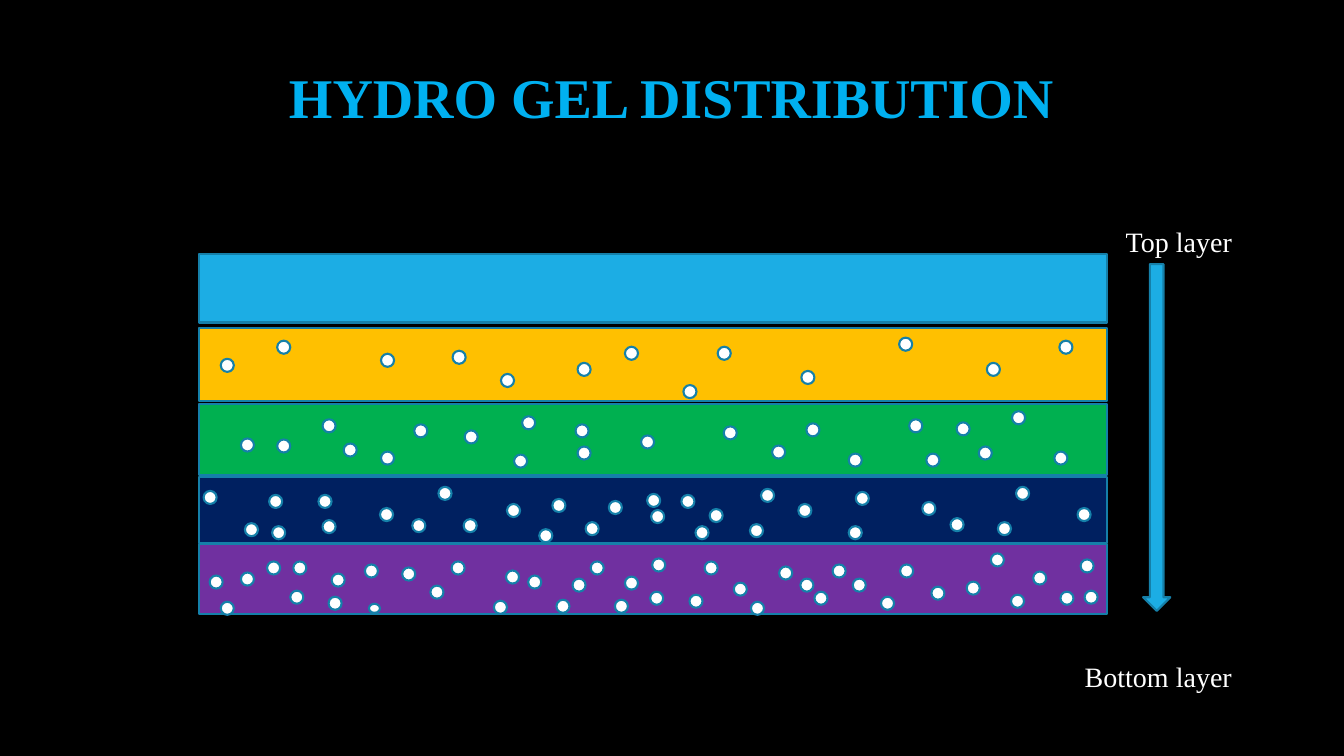
from pptx import Presentation
from pptx.dml.color import RGBColor
from pptx.enum.shapes import MSO_SHAPE
from pptx.enum.text import MSO_ANCHOR, PP_ALIGN
from pptx.util import Cm, Pt

RECTANGLE = MSO_SHAPE.RECTANGLE
DOWN_ARROW = MSO_SHAPE.DOWN_ARROW
CIRCLE = MSO_SHAPE.FLOWCHART_CONNECTOR
CENTER, RIGHT = PP_ALIGN.CENTER, PP_ALIGN.RIGHT
TOP, MIDDLE = MSO_ANCHOR.TOP, MSO_ANCHOR.MIDDLE

BLACK = RGBColor(0x00, 0x00, 0x00)
WHITE = RGBColor(0xFF, 0xFF, 0xFF)
TITLE_BLUE = RGBColor(0x00, 0xB0, 0xF0)
SKY = RGBColor(0x1C, 0xAD, 0xE4)
AMBER = RGBColor(0xFF, 0xC0, 0x00)
GREEN = RGBColor(0x00, 0xB0, 0x50)
NAVY = RGBColor(0x00, 0x20, 0x60)
PURPLE = RGBColor(0x70, 0x30, 0xA0)
OUTLINE = RGBColor(0x15, 0x80, 0xA9)

FONT = "Times New Roman"
CM_PER_UNIT = 2.54  # the layout grid is in inches
BEAD_SIZE = 0.13

# Beads as (x, y) from the top left corner of their layer
AMBER_BEADS = [
    (0.22, 0.31), (0.78, 0.13), (1.81, 0.26), (2.52, 0.23), (3.00, 0.46),
    (3.76, 0.35), (4.23, 0.19), (4.81, 0.57), (5.15, 0.19), (5.98, 0.43),
    (6.95, 0.10), (7.82, 0.35), (8.54, 0.13),
]
GREEN_BEADS = [
    (0.42, 0.34), (0.78, 0.35), (1.23, 0.15), (1.44, 0.39), (1.81, 0.47),
    (2.14, 0.20), (2.64, 0.26), (3.13, 0.50), (3.21, 0.12), (3.74, 0.20),
    (3.76, 0.42), (4.39, 0.31), (5.21, 0.22), (5.69, 0.41), (6.03, 0.19),
    (6.45, 0.49), (7.05, 0.15), (7.22, 0.49), (7.52, 0.18), (7.74, 0.42),
    (8.07, 0.07), (8.49, 0.47),
]
NAVY_BEADS = [
    (0.05, 0.14), (0.46, 0.46), (0.70, 0.18), (0.73, 0.49), (1.19, 0.18),
    (1.23, 0.43), (1.80, 0.31), (2.12, 0.42), (2.38, 0.10), (2.63, 0.42),
    (3.06, 0.27), (3.38, 0.52), (3.51, 0.22), (3.84, 0.45), (4.07, 0.24),
    (4.45, 0.17), (4.49, 0.33), (4.79, 0.18), (4.93, 0.49), (5.07, 0.32),
    (5.47, 0.47), (5.58, 0.12), (5.95, 0.27), (6.45, 0.49), (6.52, 0.15),
    (7.18, 0.25), (7.46, 0.41), (7.93, 0.45), (8.11, 0.10), (8.72, 0.31),
]
PURPLE_BEADS = [
    (0.11, 0.31), (0.22, 0.57), (0.42, 0.28), (0.68, 0.17), (0.91, 0.46),
    (0.94, 0.17), (1.29, 0.52), (1.32, 0.29), (1.65, 0.20), (2.02, 0.23),
    (2.30, 0.41), (2.51, 0.17), (2.93, 0.56), (3.05, 0.26), (3.27, 0.31),
    (3.55, 0.55), (3.71, 0.34), (3.89, 0.17), (4.13, 0.55), (4.23, 0.32),
    (4.48, 0.47), (4.50, 0.14), (4.87, 0.50), (5.02, 0.17), (5.31, 0.38),
    (5.48, 0.57), (5.76, 0.22), (5.97, 0.34), (6.11, 0.47), (6.29, 0.20),
    (6.49, 0.34), (6.77, 0.52), (6.96, 0.20), (7.27, 0.42), (7.62, 0.37),
    (7.86, 0.09), (8.06, 0.50), (8.28, 0.27), (8.55, 0.47), (8.75, 0.15),
    (8.79, 0.46),
]
SMALL_BEAD = (1.69, 0.59, 0.11, 0.09)

# Layers as (top offset, height, colour, beads)
LAYERS = [
    (0.00, 0.68, SKY, []),
    (0.73, 0.73, AMBER, AMBER_BEADS),
    (1.49, 0.70, GREEN, GREEN_BEADS),
    (2.21, 0.66, NAVY, NAVY_BEADS),
    (2.88, 0.69, PURPLE, PURPLE_BEADS),
]


def to_lengths(box):
    return [Cm(value * CM_PER_UNIT) for value in box]


def add_outlined(page, kind, box, color):
    shape = page.shapes.add_shape(kind, *to_lengths(box))
    shape.shadow.inherit = False
    shape.fill.solid()
    shape.fill.fore_color.rgb = color
    shape.line.color.rgb = OUTLINE
    shape.line.width = Pt(1.5)


def add_text(page, box, text, size, color, align, anchor, spacing, bold=False):
    frame = page.shapes.add_textbox(*to_lengths(box)).text_frame
    frame.word_wrap = True
    frame.vertical_anchor = anchor
    frame.text = text
    para = frame.paragraphs[0]
    para.alignment = align
    para.line_spacing = spacing
    font = para.runs[0].font
    font.name = FONT
    font.size = Pt(size)
    font.bold = bold
    font.color.rgb = color


def add_layers(page, box):
    left, top, width = box
    # Bands first, so that no band covers a bead
    for offset, height, color, _ in LAYERS:
        add_outlined(page, RECTANGLE, (left, top + offset, width, height), color)
    for offset, _, _, beads in LAYERS:
        for x, y in beads:
            bead_box = (left + x, top + offset + y, BEAD_SIZE, BEAD_SIZE)
            add_outlined(page, CIRCLE, bead_box, WHITE)
    # Flattened bead at the bottom edge of the last layer
    x, y, bead_width, bead_height = SMALL_BEAD
    bead_box = (left + x, top + LAYERS[-1][0] + y, bead_width, bead_height)
    add_outlined(page, CIRCLE, bead_box, WHITE)


def add_depth_scale(page, box):
    left, top, width, height = box
    for text, offset in (("Top layer", 0), ("Bottom layer", height - 0.48)):
        label_box = (left, top + offset, width, 0.48)
        add_text(page, label_box, text, 20, WHITE, RIGHT, TOP, 1.2)
    add_outlined(page, DOWN_ARROW, (left + 1.02, top + 0.51, 0.27, 3.44), SKY)


def main():
    deck = Presentation()
    deck.slide_width, deck.slide_height = to_lengths((13.333, 7.5))
    page = deck.slides.add_slide(deck.slide_layouts[6])
    page.background.fill.solid()
    page.background.fill.fore_color.rgb = BLACK

    add_text(page, (1, 0.27, 11.32, 1.45), "HYDRO GEL DISTRIBUTION",
             40, TITLE_BLUE, CENTER, MIDDLE, 0.9, bold=True)
    add_layers(page, (1.97, 2.52, 9.01))
    add_depth_scale(page, (10.32, 2.11, 2, 4.8))
    deck.save("out.pptx")


if __name__ == "__main__":
    main()
